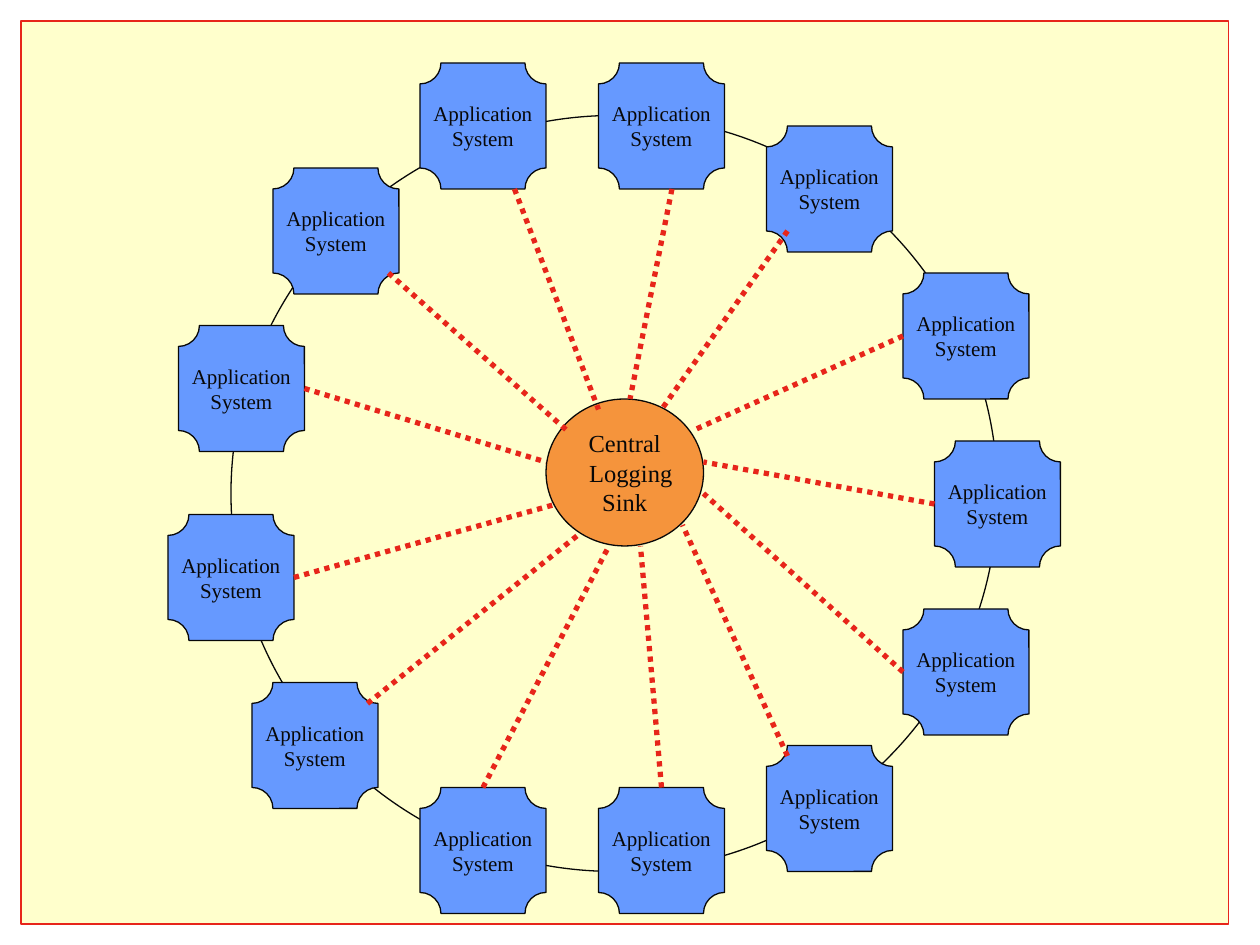
import pptx
import pptx.dml.color
import pptx.enum.dml
import pptx.enum.shapes
import pptx.enum.text
import pptx.oxml.ns
import pptx.util
from lxml import etree

SHAPES = pptx.enum.shapes.MSO_SHAPE
UNIT = pptx.util.Inches(1) // 12
INK, RED = "080808", "E7251A"
SYSTEM_SIZE = 12
FRAME = (2, 2, 115, 86)
RING = (22, 11, 73, 72)
SINK = (52, 38, 15, 14)
SYSTEMS = [
    ((26, 16), (37, 26), (54, 41)),
    ((17, 31), (29, 37), (52, 44)),
    ((16, 49), (28, 55), (53, 48)),
    ((24, 65), (35, 67), (55, 51)),
    ((40, 75), (46, 75), (58, 52)),
    ((57, 75), (63, 75), (61, 52)),
    ((73, 71), (75, 72), (65, 50)),
    ((86, 58), (86, 64), (67, 47)),
    ((89, 42), (89, 48), (67, 44)),
    ((86, 26), (86, 32), (66, 41)),
    ((73, 12), (75, 22), (63, 39)),
    ((57, 6), (64, 18), (60, 38)),
    ((40, 6), (49, 18), (57, 39)),
]


def color(value):
    """Turn a hex string into a colour."""
    return pptx.dml.color.RGBColor.from_string(value)


def add_figure(page, kind, box, fill=None, line=INK, width=0.75):
    """Add a preset shape in a box of grid units."""
    figure = page.shapes.add_shape(kind, *(UNIT * part for part in box))
    figure.shadow.inherit = False
    if fill:
        figure.fill.solid()
        figure.fill.fore_color.rgb = color(fill)
    else:
        figure.fill.background()
    figure.line.color.rgb = color(line)
    figure.line.width = pptx.util.Pt(width)
    return figure


def set_label(figure, text, size):
    """Write centred lines inside a shape."""
    frame = figure.text_frame
    frame.text = text
    frame.word_wrap = False
    frame.vertical_anchor = pptx.enum.text.MSO_ANCHOR.MIDDLE
    for para in frame.paragraphs:
        para.alignment = pptx.enum.text.PP_ALIGN.CENTER
        for span in para.runs:
            span.font.name = "Times New Roman"
            span.font.size = pptx.util.Pt(size)
            span.font.color.rgb = color(INK)


def add_sink(page, box):
    """Place the central logging sink."""
    sink = add_figure(page, SHAPES.OVAL, box, "F5943C")
    set_label(sink, "Central\nLogging\nSink", 14)
    middle = sink.text_frame.paragraphs[1]
    middle._p.get_or_add_pPr().set("marL", str(pptx.util.Pt(7)))


def add_system(page, box):
    """Place one application system."""
    system = add_figure(page, SHAPES.PLAQUE, box, "6699FF")
    set_label(system, "Application\nSystem", SYSTEM_SIZE)
    return system


def add_link(page, system, box, start, end):
    """Draw a dotted link, joined to the system where it meets a side's middle."""
    points = [UNIT * part for part in start + end]
    link = page.shapes.add_connector(pptx.enum.shapes.MSO_CONNECTOR.STRAIGHT, *points)
    link.line.color.rgb = color(RED)
    link.line.width = pptx.util.Pt(3)
    link.line.dash_style = pptx.enum.dml.MSO_LINE.ROUND_DOT
    etree.SubElement(link._element.spPr, pptx.oxml.ns.qn("a:effectLst"))
    left, top, width, height = box
    across, down = left + width / 2, top + height / 2
    sides = [(across, top), (left, down), (across, top + height), (left + width, down)]
    if start in sides:
        link.begin_connect(system, sides.index(start))


def build_network(page):
    """Place the frame, the ring, the sink, the systems and their links."""
    add_figure(page, SHAPES.RECTANGLE, FRAME, "FFFFCC", RED, 1)
    add_figure(page, SHAPES.OVAL, RING)
    add_sink(page, SINK)
    boxes = [corner + (SYSTEM_SIZE, SYSTEM_SIZE) for corner, _, _ in SYSTEMS]
    systems = [add_system(page, box) for box in boxes]
    for system, box, (_, start, end) in zip(systems, boxes, SYSTEMS):
        add_link(page, system, box, start, end)


def main():
    """Build and save the deck."""
    deck = pptx.Presentation()
    deck.slide_width, deck.slide_height = UNIT * 120, UNIT * 90
    build_network(deck.slides.add_slide(deck.slide_layouts[6]))
    deck.save("out.pptx")


if __name__ == "__main__":
    main()
